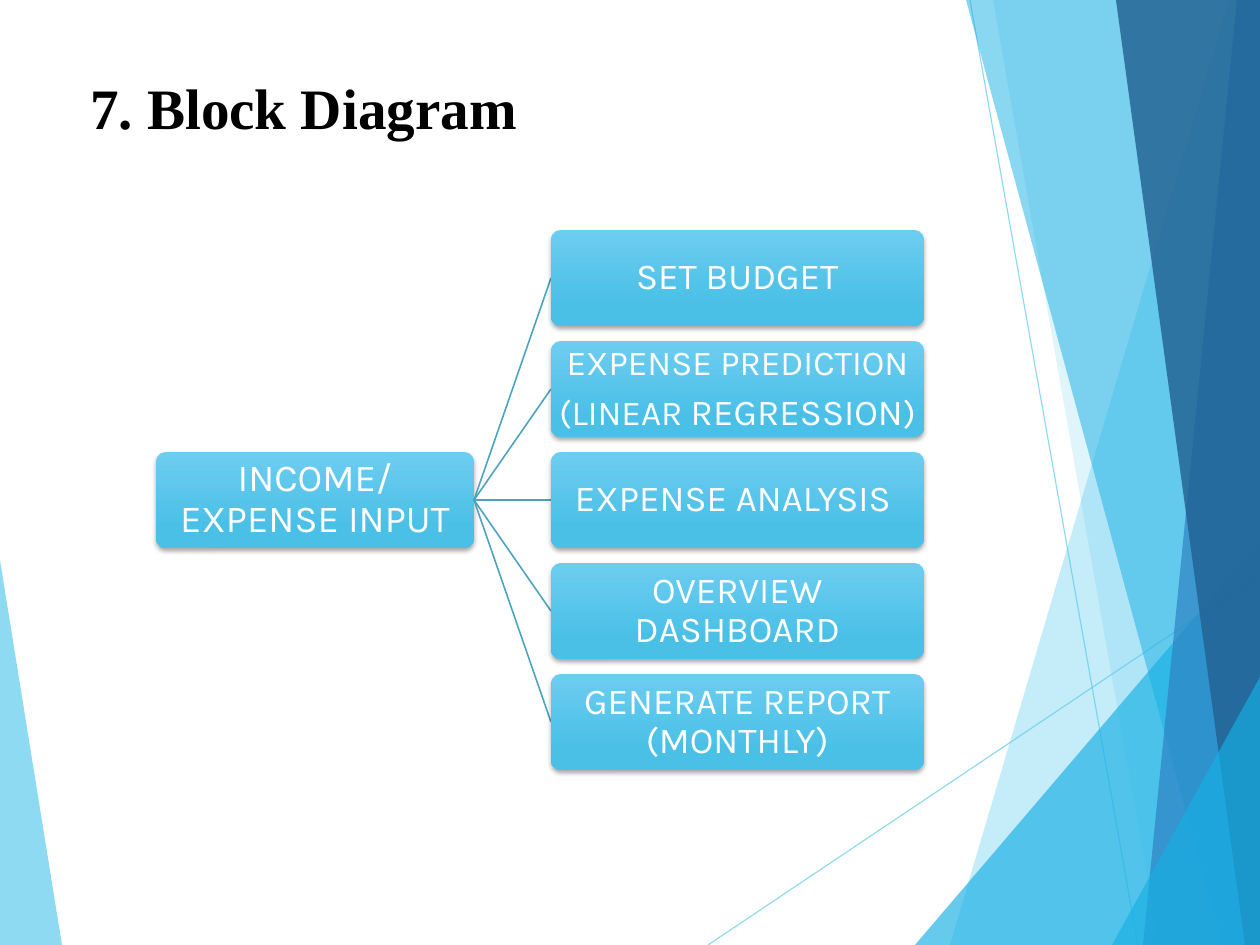
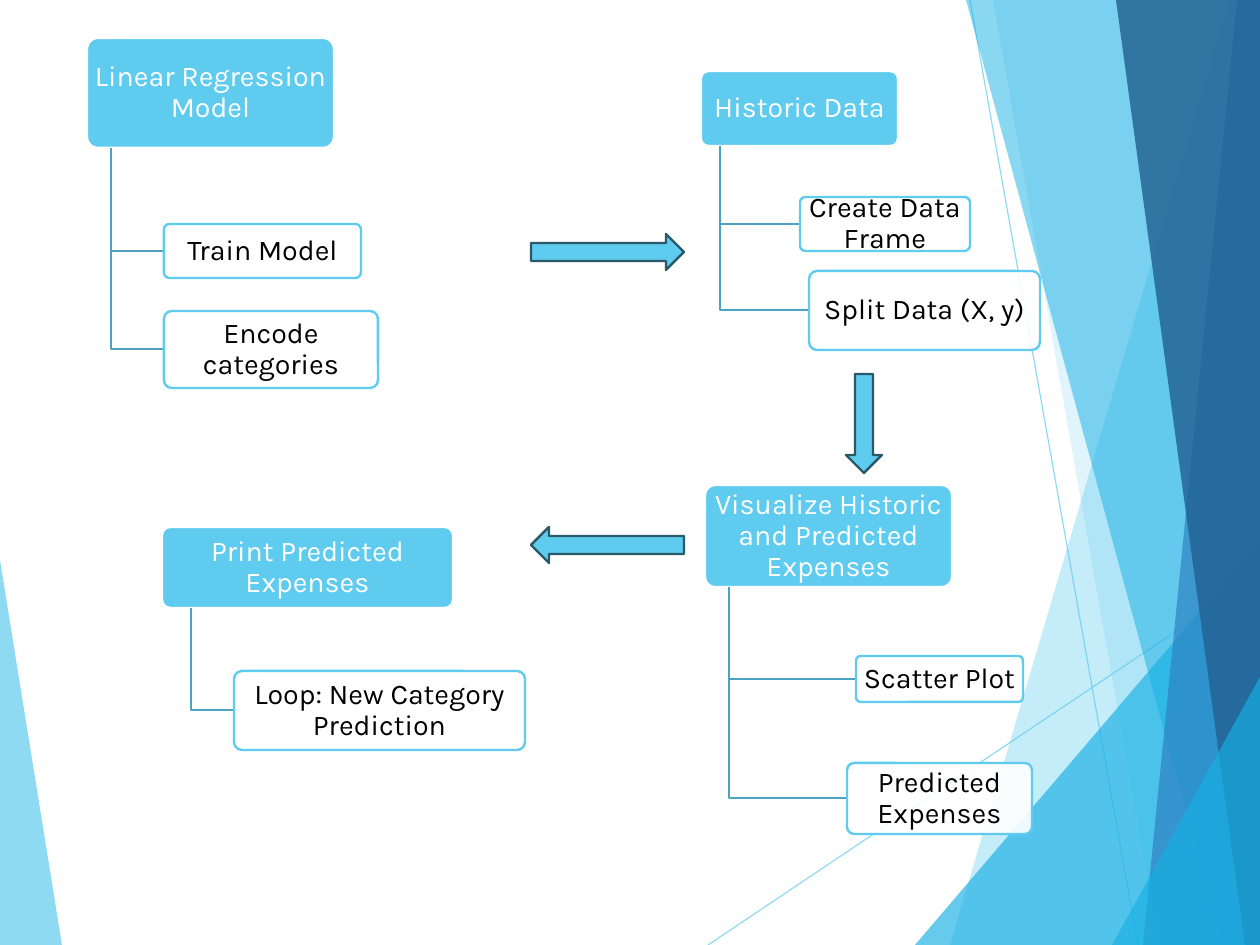
import dataclasses

import lxml.etree
import pptx
import pptx.dml.color
import pptx.enum.shapes
import pptx.enum.text
import pptx.oxml.ns
import pptx.util

SHAPES = pptx.enum.shapes.MSO_SHAPE
ALIGN = pptx.enum.text.PP_ALIGN
ANCHOR = pptx.enum.text.MSO_ANCHOR
qualified = pptx.oxml.ns.qn


@dataclasses.dataclass(frozen=True)
class Theme:
    sky: str = "5FCBEF"
    cyan: str = "17B0E4"
    blue: str = "2E83C3"
    navy: str = "226292"
    link: str = "4CA3BF"
    arrow_edge: str = "2A5969"
    gradient_top: str = "6CCDF0"
    gradient_bottom: str = "4BC0E6"
    white: str = "FFFFFF"
    black: str = "000000"
    title_font: str = "Times New Roman"
    body_font: str = "Karla"
    title_size: int = 36
    root_size: int = 24
    block_size: int = 23
    small_block_size: int = 22
    tree_size: int = 18


class Builder:
    WIDTH, HEIGHT, SCALE = 1260, 945, 8000
    TITLE_ONLY, BLANK = 5, 6

    def __init__(self, theme):
        self.theme = theme
        self.deck = pptx.Presentation()
        self.deck.slide_width = self.length(self.WIDTH)
        self.deck.slide_height = self.length(self.HEIGHT)
        self.page = None

    def length(self, pixels):
        return pptx.util.Emu(pixels * self.SCALE)

    def lengths(self, *pixels):
        return [self.length(value) for value in pixels]

    def color(self, code):
        return pptx.dml.color.RGBColor.from_string(code)

    def new_page(self, layout):
        self.page = self.deck.slides.add_slide(self.deck.slide_layouts[layout])

    def opacity(self, shape, percent, location="./a:solidFill"):
        for node in shape.element.spPr.xpath(location + "/a:srgbClr"):
            lxml.etree.SubElement(node, qualified("a:alpha"), val=str(percent * 1000))

    def paint(self, shape, fill=None, percent=100, edge=None, weight=1.5):
        shape.shadow.inherit = False
        if fill:
            shape.fill.solid()
            shape.fill.fore_color.rgb = self.color(fill)
            if percent < 100:
                self.opacity(shape, percent)
        else:
            shape.fill.background()
        if edge:
            shape.line.color.rgb = self.color(edge)
            shape.line.width = pptx.util.Pt(weight)
        else:
            shape.line.fill.background()

    def outline(self, points, closed):
        path_builder = self.page.shapes.build_freeform(*points[0], scale=self.SCALE)
        path_builder.add_line_segments(points[1:], close=closed)
        return path_builder.convert_to_shape()

    def facet(self, points, fill, percent):
        shape = self.outline(points, True)
        self.paint(shape, fill, percent)
        return shape

    def line(self, start, end, color, weight, percent=100):
        straight = pptx.enum.shapes.MSO_CONNECTOR.STRAIGHT
        connector = self.page.shapes.add_connector(
            straight, *self.lengths(*start, *end))
        connector.line.color.rgb = self.color(color)
        connector.line.width = pptx.util.Pt(weight)
        if percent < 100:
            self.opacity(connector, percent, "./a:ln/a:solidFill")
        lxml.etree.SubElement(connector.element.spPr, qualified("a:effectLst"))
        return connector

    def span(self, para, text, font, size, color, bold=False):
        span = para.add_run()
        span.text = text
        span.font.name = font
        span.font.size = pptx.util.Pt(size)
        span.font.color.rgb = self.color(color)
        span.font.bold = bold

    def frame(self, shape, side, upright):
        frame = shape.text_frame
        frame.word_wrap = True
        frame.vertical_anchor = ANCHOR.MIDDLE
        frame.margin_left = frame.margin_right = self.length(side)
        frame.margin_top = frame.margin_bottom = self.length(upright)
        return frame

    def title(self, text):
        box = self.page.shapes.title
        box.left, box.top, box.width, box.height = self.lengths(90, 31, 1134, 158)
        para = self.frame(box, 0, 2).paragraphs[0]
        para.alignment = ALIGN.LEFT
        para.line_spacing = 0.93
        theme = self.theme
        self.span(para, text, theme.title_font, theme.title_size, theme.black, True)

    def box(self, place, paragraphs, color, inset):
        box = self.page.shapes.add_shape(SHAPES.ROUNDED_RECTANGLE, *self.lengths(*place))
        box.adjustments[0] = 0.1
        frame = self.frame(box, *inset)
        for number, spans in enumerate(paragraphs):
            para = frame.add_paragraph() if number else frame.paragraphs[0]
            para.alignment = ALIGN.CENTER
            para.line_spacing = 0.9
            if number:
                para.space_before = pptx.util.Pt(7)
            for text, size in spans:
                self.span(para, text, self.theme.body_font, size, color)
        return box

    def block(self, place, paragraphs):
        box = self.box(place, paragraphs, self.theme.white, (2, 2))
        self.paint(box)
        box.fill.gradient()
        box.fill.gradient_angle = 270
        stops = ((0, self.theme.gradient_top), (0.78, self.theme.gradient_bottom))
        for stop, (position, color) in zip(box.fill.gradient_stops, stops):
            stop.position = position
            stop.color.rgb = self.color(color)
        effects = box.element.spPr.find(qualified("a:effectLst"))
        shadow = lxml.etree.SubElement(
            effects, qualified("a:outerShdw"), blurRad="38100", dist="25400",
            dir="5400000", rotWithShape="0")
        tint = lxml.etree.SubElement(shadow, qualified("a:srgbClr"), val=self.theme.black)
        lxml.etree.SubElement(tint, qualified("a:alpha"), val="35000")

    def tree(self, heading, place, children):
        theme = self.theme
        left, top, width, height = place
        stem, bottom = left + width // 10, top + height
        box = self.box(place, [[(heading, theme.tree_size)]], theme.white, (4, 3))
        self.paint(box, theme.sky, edge=theme.white)
        for text, child in children:
            middle = child[1] + child[3] // 2
            elbow = self.outline([(stem, bottom), (stem, middle), (child[0], middle)], False)
            self.paint(elbow, edge=theme.link)
            leaf = self.box(child, [[(text, theme.tree_size)]], theme.black, (4, 3))
            self.paint(leaf, theme.white, 90, theme.sky)

    def arrow(self, kind, place):
        arrow = self.page.shapes.add_shape(kind, *self.lengths(*place))
        self.paint(arrow, self.theme.sky, edge=self.theme.arrow_edge)

    def decorate_master(self):
        theme, right, bottom = self.theme, self.WIDTH, self.HEIGHT

        def band(top, base):
            return [(top, 0), (base, bottom), (right, bottom), (right, 0)]

        def corner(base, height):
            return [(base, bottom), (right, height), (right, bottom)]

        facets = (
            (band(1229, 950), theme.sky, 36),
            (band(993, 1159), theme.sky, 20),
            (corner(915, 541), theme.cyan, 66),
            (band(966, 1222), theme.cyan, 50),
            (band(1237, 1143), theme.blue, 70),
            (band(1116, 1245), theme.navy, 82),
            (corner(1112, 677), theme.cyan, 66),
        )
        pieces = [
            self.facet([(0, 560), (62, bottom), (0, bottom)], theme.sky, 70),
            self.line((708, bottom), (right, 575), theme.sky, 0.75, 70),
            self.line((970, 0), (1138, bottom), theme.sky, 0.75, 70),
        ]
        pieces += [self.facet(*facet) for facet in facets]
        tree = self.deck.slide_master.element.cSld.spTree
        for number, piece in enumerate(pieces):
            piece.element.xpath(".//p:cNvPr")[0].set("id", str(100 + number))
            tree.insert(2 + number, piece.element)


def block_diagram(builder):
    theme = builder.theme
    builder.title("7. Block Diagram ")
    root_left, root_top, root_width, block_height = 156, 452, 318, 96
    target_left, target_top, target_width, pitch = 551, 230, 373, 111
    big, small = theme.block_size, theme.small_block_size
    targets = (
        [[("SET BUDGET", big)]],
        [[("EXPENSE PREDICTION", small)],
         [("(LINEAR ", small), ("REGRESSION", big), (")", small)]],
        [[("EXPENSE ANALYSIS ", big)]],
        [[("OVERVIEW DASHBOARD", big)]],
        [[("GENERATE REPORT (MONTHLY)", big)]],
    )
    builder.block((root_left, root_top, root_width, block_height),
                  [[("INCOME/EXPENSE INPUT", theme.root_size)]])
    half = block_height // 2
    for number, paragraphs in enumerate(targets):
        top = target_top + number * pitch
        builder.line((root_left + root_width, root_top + half),
                     (target_left, top + half), theme.link, 1)
        builder.block((target_left, top, target_width, block_height), paragraphs)


def model_flow(builder):
    builder.tree("Linear Regression Model", (87, 38, 247, 110), (
        ("Train Model", (164, 224, 197, 54)),
        ("Encode categories", (164, 311, 214, 77)),
    ))
    builder.tree("Historic Data", (701, 71, 197, 75), (
        ("Create Data Frame", (800, 197, 170, 54)),
        ("Split Data (X, y)", (809, 271, 231, 79)),
    ))
    builder.tree("Visualize Historic and Predicted Expenses", (705, 485, 247, 102), (
        ("Scatter Plot", (856, 656, 167, 46)),
        ("Predicted Expenses", (847, 763, 185, 71)),
    ))
    builder.tree("Print Predicted Expenses", (162, 527, 291, 81), (
        ("Loop: New Category Prediction", (234, 671, 291, 79)),
    ))
    builder.arrow(SHAPES.LEFT_ARROW, (531, 527, 153, 36))
    builder.arrow(SHAPES.DOWN_ARROW, (846, 374, 36, 99))
    builder.arrow(SHAPES.RIGHT_ARROW, (531, 234, 153, 36))


builder = Builder(Theme())
builder.new_page(Builder.TITLE_ONLY)
builder.decorate_master()
block_diagram(builder)
builder.new_page(Builder.BLANK)
model_flow(builder)
builder.deck.save("out.pptx")
